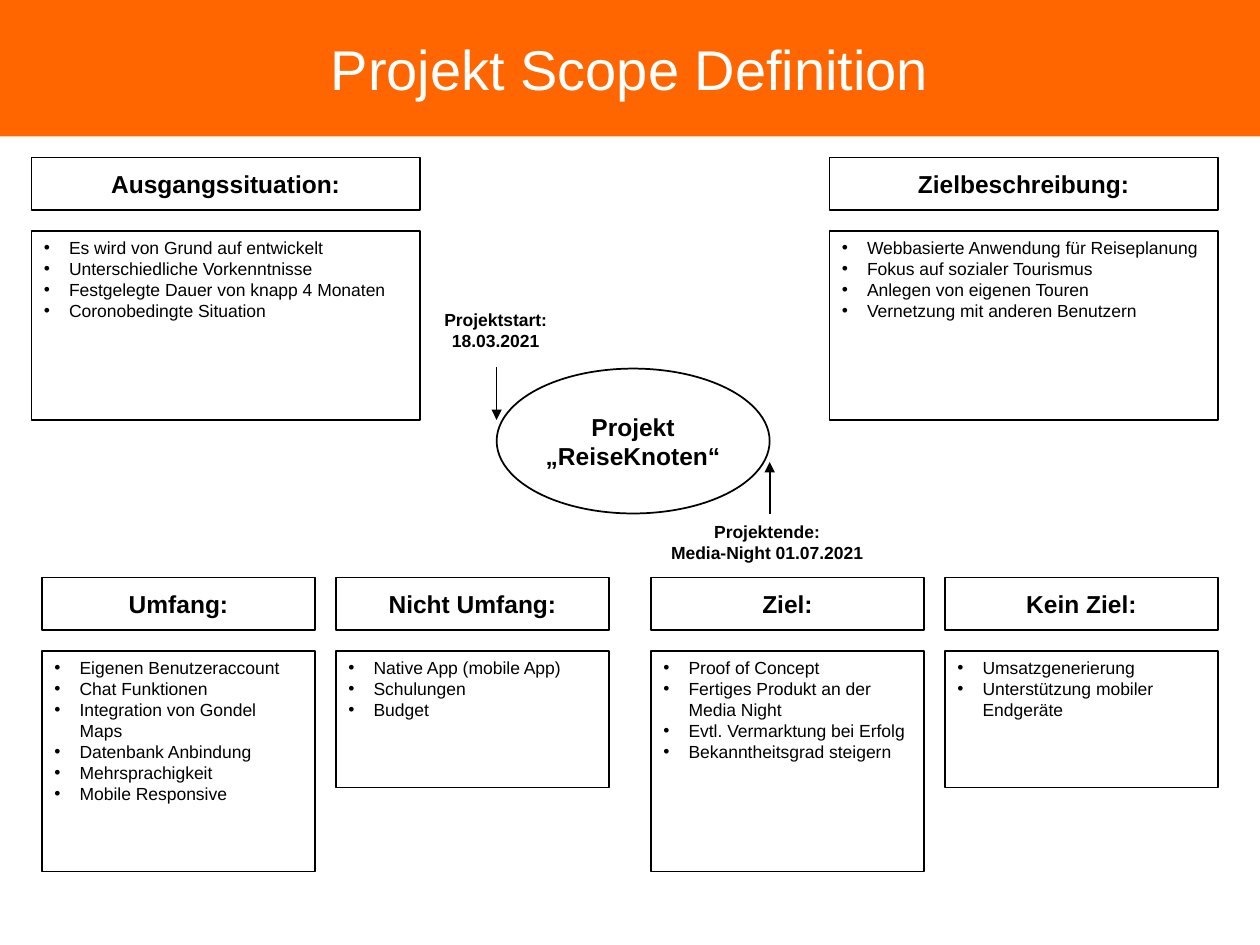
"""Builds the project scope slide on a grid of 120 columns by 90 rows."""
from lxml.etree import SubElement
from pptx import Presentation
from pptx.dml.color import RGBColor
from pptx.enum.shapes import MSO_CONNECTOR, MSO_SHAPE
from pptx.enum.text import MSO_ANCHOR, MSO_AUTO_SIZE, PP_ALIGN
from pptx.oxml.ns import qn
from pptx.util import Inches, Pt

ORANGE, WHITE, BLACK = "FF6600", "FFFFFF", "000000"
color = RGBColor.from_string


def place(*cells):
    return [Inches(cell / 12) for cell in cells]


def write(shape, text, size=10, bold=False, ink=BLACK, align=PP_ALIGN.CENTER,
          anchor=MSO_ANCHOR.MIDDLE, wrap=False, bullets=False):
    frame = shape.text_frame
    frame.text = text
    frame.word_wrap = wrap
    frame.vertical_anchor = anchor
    for paragraph in frame.paragraphs:
        paragraph.alignment = align
        font = paragraph.runs[0].font
        font.name, font.size, font.bold = "Arial", Pt(size), bold
        font.color.rgb = color(ink)
        if bullets:
            properties = paragraph._p.get_or_add_pPr()
            properties.set("marL", str(Inches(0.2)))
            properties.set("indent", str(Inches(-0.2)))
            SubElement(properties, qn("a:buFont"), typeface="Arial")
            SubElement(properties, qn("a:buChar"), char="•")


presentation = Presentation()
presentation.slide_width, presentation.slide_height = place(120, 90)
slide = presentation.slides.add_slide(presentation.slide_layouts[5])
shapes = slide.shapes

band = shapes.add_shape(MSO_SHAPE.RECTANGLE, *place(0, 0, 120, 13))
band.shadow.inherit = False
band.fill.solid()
band.fill.fore_color.rgb = color(ORANGE)
band.line.fill.background()
shapes._spTree.insert(2, band._element)

title = shapes.title
title.left, title.top, title.width, title.height = place(6, 1, 108, 11)
write(title, "Projekt Scope Definition", size=32, ink=WHITE, wrap=True)

heading = dict(size=14, bold=True)
body = dict(align=PP_ALIGN.LEFT, anchor=MSO_ANCHOR.TOP, wrap=True, bullets=True)
panels = [
    (3, 15, 37, 18, "Ausgangssituation:",
     ["Es wird von Grund auf entwickelt", "Unterschiedliche Vorkenntnisse",
      "Festgelegte Dauer von knapp 4 Monaten", "Coronobedingte Situation"]),
    (79, 15, 37, 18, "Zielbeschreibung:",
     ["Webbasierte Anwendung für Reiseplanung", "Fokus auf sozialer Tourismus",
      "Anlegen von eigenen Touren", "Vernetzung mit anderen Benutzern"]),
    (4, 55, 26, 21, "Umfang:",
     ["Eigenen Benutzeraccount", "Chat Funktionen", "Integration von Gondel Maps",
      "Datenbank Anbindung", "Mehrsprachigkeit", "Mobile Responsive"]),
    (32, 55, 26, 13, "Nicht Umfang:",
     ["Native App (mobile App)", "Schulungen", "Budget"]),
    (62, 55, 26, 21, "Ziel:",
     ["Proof of Concept", "Fertiges Produkt an der Media Night",
      "Evtl. Vermarktung bei Erfolg", "Bekanntheitsgrad steigern"]),
    (90, 55, 26, 13, "Kein Ziel:",
     ["Umsatzgenerierung", "Unterstützung mobiler Endgeräte"]),
]
frames = [(MSO_SHAPE.OVAL, (47.3, 35.1, 26, 13.8), "Projekt\n„ReiseKnoten“", heading)]
for left, top, width, height, name, points in panels:
    frames.append((MSO_SHAPE.RECTANGLE, (left, top, width, 5), name, heading))
    frames.append((MSO_SHAPE.RECTANGLE, (left, top + 7, width, height), "\n".join(points), body))

for kind, box, text, style in frames:
    shape = shapes.add_shape(kind, *place(*box))
    shape.shadow.inherit = False
    shape.fill.solid()
    shape.fill.fore_color.rgb = color(WHITE)
    shape.line.color.rgb = color(BLACK)
    shape.line.width = Pt(1)
    write(shape, text, **style)

milestones = [
    ("Projektstart:\n18.03.2021", (41, 28.8, 12.4, 5.3), (47.3, 35, 47.3, 40)),
    ("Projektende:\nMedia-Night 01.07.2021", (62.6, 49, 20.9, 5.3), (73.3, 49, 73.3, 44)),
]
for text, box, ends in milestones:
    label = shapes.add_textbox(*place(*box))
    write(label, text, bold=True, anchor=MSO_ANCHOR.TOP)
    label.text_frame.auto_size = MSO_AUTO_SIZE.SHAPE_TO_FIT_TEXT
    arrow = shapes.add_connector(MSO_CONNECTOR.STRAIGHT, *place(*ends))
    arrow.line.color.rgb = color(BLACK)
    arrow.line.width = Pt(1)
    SubElement(arrow.line._get_or_add_ln(), qn("a:tailEnd"), type="triangle")
    SubElement(arrow._element.spPr, qn("a:effectLst"))

presentation.save("out.pptx")
